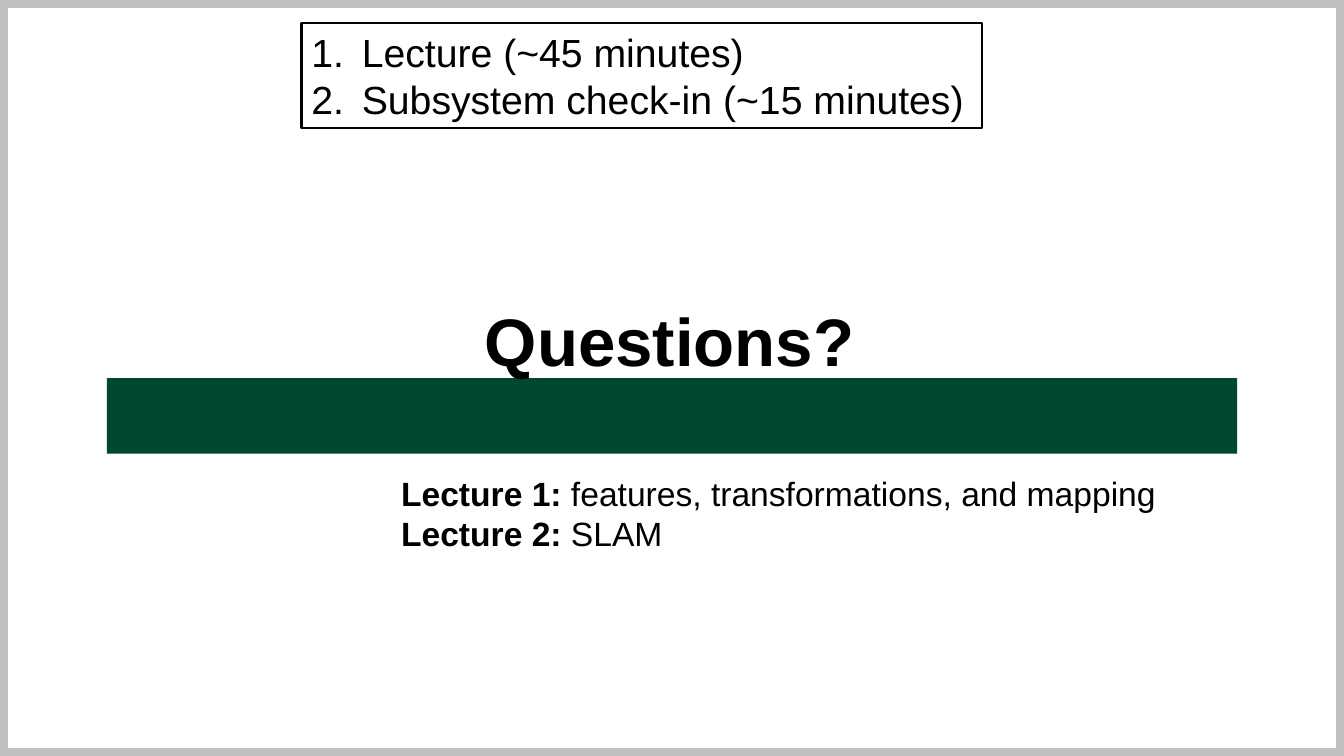
"""Build the closing questions slide with its agenda and lecture list."""
from lxml import etree
from pptx import Presentation
from pptx import util as u
from pptx.dml.color import RGBColor
from pptx.enum import shapes, text
from pptx.oxml.ns import qn


def color(value):
    return RGBColor.from_string(value)


class SlideBuilder:
    FONT = "Arial"
    INK = "000000"
    GREEN = "004630"
    GRAY = "C0C0C0"

    def __init__(self, prs):
        self.slide = prs.slides.add_slide(prs.slide_layouts[5])

    def place(self, sp, box):
        sp.left, sp.top, sp.width, sp.height = map(u.Inches, box)

    def format_frame(self, tf, anchor=text.MSO_ANCHOR.TOP):
        tf.word_wrap = False
        tf.auto_size = text.MSO_AUTO_SIZE.SHAPE_TO_FIT_TEXT
        tf.vertical_anchor = anchor

    def format_run(self, r, size, bold=False):
        r.font.name = self.FONT
        r.font.size = u.Pt(size)
        r.font.bold = bold
        r.font.color.rgb = color(self.INK)

    def rect(self, box, fill=None, line=None, width=0):
        sp = self.slide.shapes.add_shape(
            shapes.MSO_SHAPE.RECTANGLE, *map(u.Inches, box))
        sp.shadow.inherit = False
        if fill:
            sp.fill.solid()
            sp.fill.fore_color.rgb = color(fill)
        else:
            sp.fill.background()
        if line:
            sp.line.color.rgb = color(line)
            sp.line.width = u.Pt(width)
        else:
            sp.line.fill.background()
        return sp

    def title(self, box, words, size):
        sp = self.slide.shapes.title
        sp.element.getparent().append(sp.element)
        self.place(sp, box)
        tf = sp.text_frame
        self.format_frame(tf)
        tf.text = words
        p = tf.paragraphs[0]
        p.alignment = text.PP_ALIGN.LEFT
        self.format_run(p.runs[0], size, True)

    def numbered_box(self, box, items, size):
        tf = self.rect(box, line=self.INK, width=1.5).text_frame
        tf.text = "\n".join(items)
        self.format_frame(tf)
        indent = u.Inches(0.5)
        for p in tf.paragraphs:
            p.alignment = text.PP_ALIGN.LEFT
            pPr = p._p.get_or_add_pPr()
            pPr.set("marL", str(indent))
            pPr.set("indent", str(-indent))
            etree.SubElement(pPr, qn("a:buFont"), typeface=self.FONT)
            etree.SubElement(pPr, qn("a:buAutoNum"), type="arabicPeriod")
            self.format_run(p.runs[0], size)

    def labelled_lines(self, box, lines, size):
        tf = self.slide.shapes.add_textbox(*map(u.Inches, box)).text_frame
        self.format_frame(tf)
        for i, (label, topic) in enumerate(lines):
            p = tf.add_paragraph() if i else tf.paragraphs[0]
            for words, bold in ((label, True), (f" {topic}", False)):
                r = p.add_run()
                r.text = words
                self.format_run(r, size, bold)


def main():
    prs = Presentation()
    prs.slide_width, prs.slide_height = u.Inches(13.33), u.Inches(7.5)
    s = SlideBuilder(prs)
    s.rect((0, 0, 13.33, 7.5), line=s.GRAY, width=12)
    s.rect((1.06, 3.75, 11.21, 0.75), fill=s.GREEN)
    s.title((4.71, 2.92, 3.91, 0.91), "Questions?", 48)
    s.numbered_box(
        (2.99, 0.23, 6.75, 1.04),
        ["Lecture (~45 minutes)", "Subsystem check-in (~15 minutes)"], 28)
    s.labelled_lines(
        (3.88, 4.64, 7.76, 0.91),
        [("Lecture 1:", "features, transformations, and mapping"),
         ("Lecture 2:", "SLAM")], 24)
    prs.save("out.pptx")


if __name__ == "__main__":
    main()
